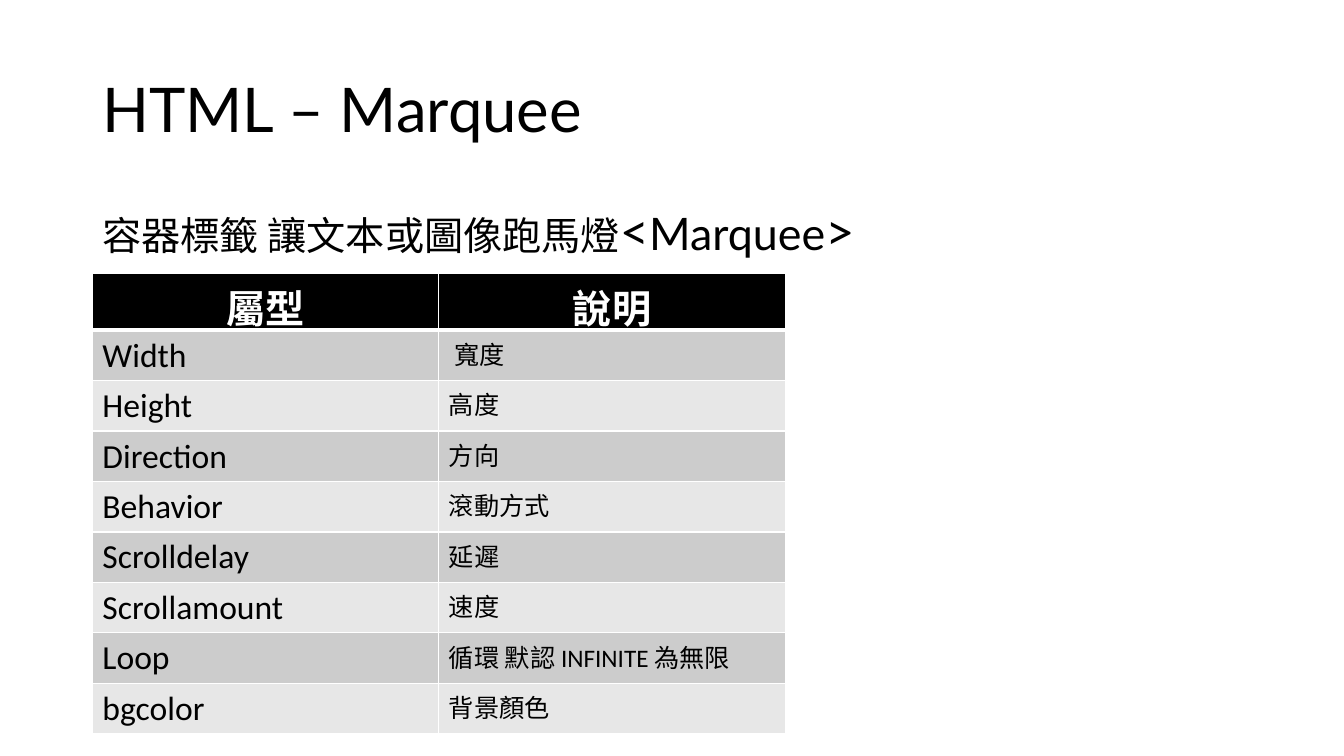
from lxml.etree import SubElement
from pptx import Presentation
from pptx.dml.color import RGBColor
from pptx.enum.text import MSO_ANCHOR, PP_ALIGN
from pptx.oxml.ns import qn
from pptx.util import Emu, Pt

PX = 9525
BLACK = RGBColor(0, 0, 0)
WHITE = RGBColor(255, 255, 255)
DARK_BAND = RGBColor(0xCC, 0xCC, 0xCC)
LIGHT_BAND = RGBColor(0xE7, 0xE7, 0xE7)


def px(*values):
    return [Emu(v * PX) for v in values]


def add_text(p, text, size, font="Calibri", color=BLACK, bold=False):
    r = p.add_run()
    r.text = text
    r.font.size = Pt(size)
    r.font.name = font
    r.font.bold = bold
    r.font.color.rgb = color


prs = Presentation()
prs.slide_width, prs.slide_height = px(1280, 720)
s = prs.slides.add_slide(prs.slide_layouts[6])

boxes = [
    (38, 139, MSO_ANCHOR.MIDDLE, 0, [("HTML – Marquee", 44)]),
    (192, 457, MSO_ANCHOR.TOP, 10,
     [("容器標籤 讓文本或圖像跑馬燈", 28), ("<", 36), ("Marquee", 32), (">", 36)]),
]
for top, height, anchor, space, runs in boxes:
    tf = s.shapes.add_textbox(*px(88, top, 1104, height)).text_frame
    tf.word_wrap = True
    tf.vertical_anchor = anchor
    p = tf.paragraphs[0]
    p.line_spacing = 0.9
    p.space_before = Pt(space)
    for text, size in runs:
        add_text(p, text, size, font="Lato")

rows = [
    ("屬型", "說明"),
    ("Width", " 寬度"),
    ("Height", "高度"),
    ("Direction", "方向"),
    ("Behavior", "滾動方式"),
    ("Scrolldelay", "延遲"),
    ("Scrollamount", "速度"),
    ("Loop", "循環 默認 INFINITE 為無限"),
    ("bgcolor", "背景顏色"),
]
table = s.shapes.add_table(len(rows), 2, *px(88, 260, 660, 357)).table
for column in table.columns:
    column.width = Emu(330 * PX)

for i, row in enumerate(rows):
    header = i == 0
    table.rows[i].height = Emu((37 if header else 40) * PX)
    for j, text in enumerate(row):
        cell = table.cell(i, j)
        p = cell.text_frame.paragraphs[0]
        if header:
            p.alignment = PP_ALIGN.CENTER
            add_text(p, text, 28, color=WHITE, bold=True)
            fill = BLACK
        else:
            add_text(p, text, 18 if j else 24)
            fill = DARK_BAND if i % 2 else LIGHT_BAND
        tcPr = cell._tc.get_or_add_tcPr()
        for side in ("L", "R", "T", "B"):
            thick = (i, side) in ((0, "B"), (1, "T"))
            ln = SubElement(tcPr, qn(f"a:ln{side}"), w=str(Pt(3 if thick else 1)))
            solid = SubElement(ln, qn("a:solidFill"))
            SubElement(solid, qn("a:srgbClr"), val=str(WHITE))
        cell.fill.solid()
        cell.fill.fore_color.rgb = fill

prs.save("out.pptx")
